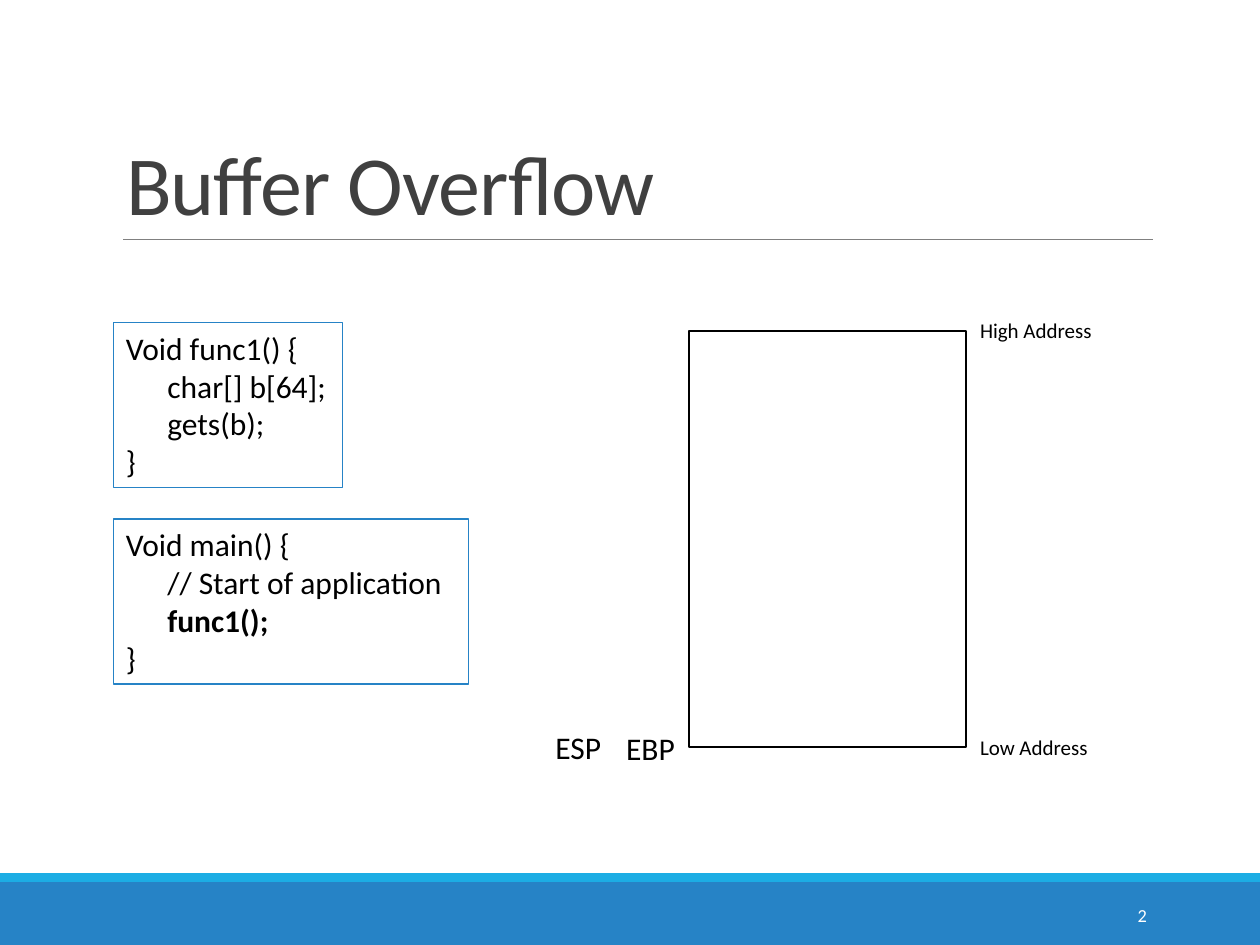
from pptx import Presentation, util as u
from pptx.dml.color import RGBColor
from pptx.enum import shapes, text
from pptx.oxml import xmlchemy as xml

BLUE = RGBColor(0x26, 0x83, 0xC6)
SKY = RGBColor(0x1C, 0xAD, 0xE4)
GRAY = RGBColor(0x80, 0x80, 0x80)
DARK = RGBColor(0x40, 0x40, 0x40)
BLACK = RGBColor(0, 0, 0)
WHITE = RGBColor(255, 255, 255)

COLS, ROWS = 100, 75
CELL = u.Inches(0.1)
FONT = "Calibri"
LEFT = 9
STEP = u.Inches(0.33)
LABEL = 76.8


def place(*cells):
    return [round(n * CELL) for n in cells]


def write(frame, lines, size=18, color=BLACK, align=text.PP_ALIGN.LEFT,
          anchor=text.MSO_ANCHOR.TOP, wrap=False, grow=True,
          inner=(), bold=(), space=None, track=None):
    frame.word_wrap = wrap
    frame.auto_size = (text.MSO_AUTO_SIZE.SHAPE_TO_FIT_TEXT if grow
                       else text.MSO_AUTO_SIZE.NONE)
    frame.vertical_anchor = anchor
    for i, line in enumerate(lines):
        para = frame.paragraphs[0] if i == 0 else frame.add_paragraph()
        para.alignment = align
        para.line_spacing = space
        if i in inner:
            para._p.get_or_add_pPr().set("marL", str(STEP))
        run = para.add_run()
        run.text = line
        font = run.font
        font.name, font.size, font.bold = FONT, u.Pt(size), i in bold
        font.color.rgb = color
        if track is not None:
            run._r.get_or_add_rPr().set("spc", str(round(track * 100)))


def rect(slide, cells, fill=None, line=None, width=1):
    box = slide.shapes.add_shape(shapes.MSO_SHAPE.RECTANGLE, *place(*cells))
    box.shadow.inherit = False
    if fill is None:
        box.fill.background()
    else:
        box.fill.solid()
        box.fill.fore_color.rgb = fill
    if line is None:
        box.line.fill.background()
    else:
        box.line.color.rgb = line
        box.line.width = u.Pt(width)
    return box


def rule(slide, start, end, row):
    line = slide.shapes.add_connector(shapes.MSO_CONNECTOR.STRAIGHT,
                                      *place(start, row, end, row))
    line.line.color.rgb = GRAY
    line.line.width = u.Pt(0.5)
    line._element.spPr.append(xml.OxmlElement("a:effectLst"))


def label(slide, cells, words, **form):
    box = slide.shapes.add_textbox(*place(*cells))
    write(box.text_frame, [words], **form)


def code(slide, row, width, lines, **form):
    box = rect(slide, (LEFT, row, width, 13.1), line=BLUE, width=0.75)
    write(box.text_frame, lines, inner=(1, 2), **form)


def head(slide, words):
    title = slide.shapes.title
    title.left, title.top, title.width, title.height = place(LEFT, 3.1, 82.5, 15.9)
    write(title.text_frame, [words], size=48, color=DARK, wrap=True, grow=False,
          anchor=text.MSO_ANCHOR.BOTTOM, space=0.85, track=-0.5)


def main():
    deck = Presentation()
    deck.slide_width, deck.slide_height = place(COLS, ROWS)
    slide = deck.slides.add_slide(deck.slide_layouts[5])

    rect(slide, (0, 70, COLS, 5), fill=BLUE)
    rect(slide, (0, 69.3, COLS, 0.7), fill=SKY)
    rule(slide, 9.8, 91.5, 19)
    head(slide, "Buffer Overflow")
    label(slide, (81.2, 70.6, 10.8, 4), "2", size=10.5, color=WHITE, wrap=True,
          grow=False, align=text.PP_ALIGN.RIGHT, anchor=text.MSO_ANCHOR.MIDDLE)

    rect(slide, (54.7, 26.3, 22, 33), line=BLACK, width=1.25)
    label(slide, (LABEL, 24.7, 11, 3), "High Address", size=12)
    label(slide, (LABEL, 57.8, 10.7, 3), "Low Address", size=12)
    label(slide, (48.7, 57.4, 5.9, 4), "EBP")
    label(slide, (43.1, 57.3, 5.7, 4), "ESP")

    code(slide, 25.6, 18.2, ["Void func1() {", "char[] b[64];", "gets(b);", "}"])
    code(slide, 41.2, 28.2,
         ["Void main() {", "// Start of application", "func1();", "}"], bold=(2,))

    deck.save("out.pptx")


if __name__ == "__main__":
    main()
